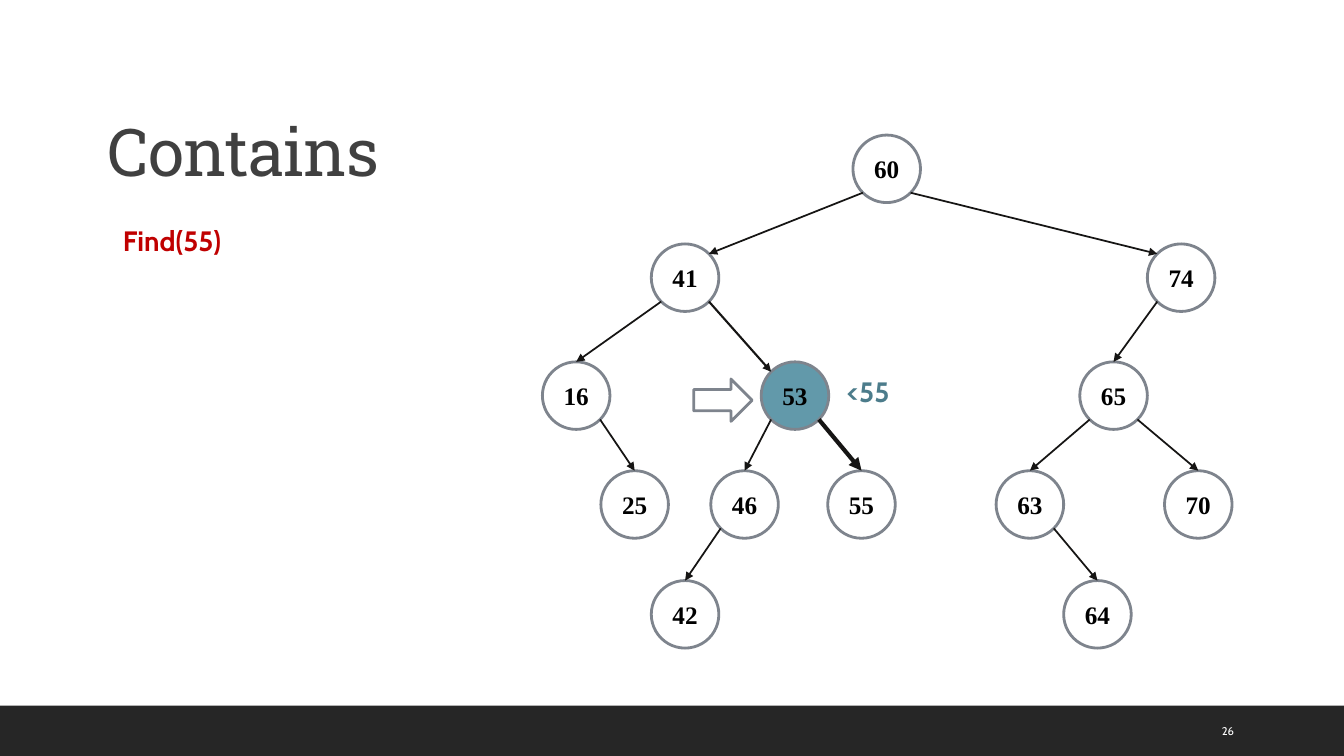
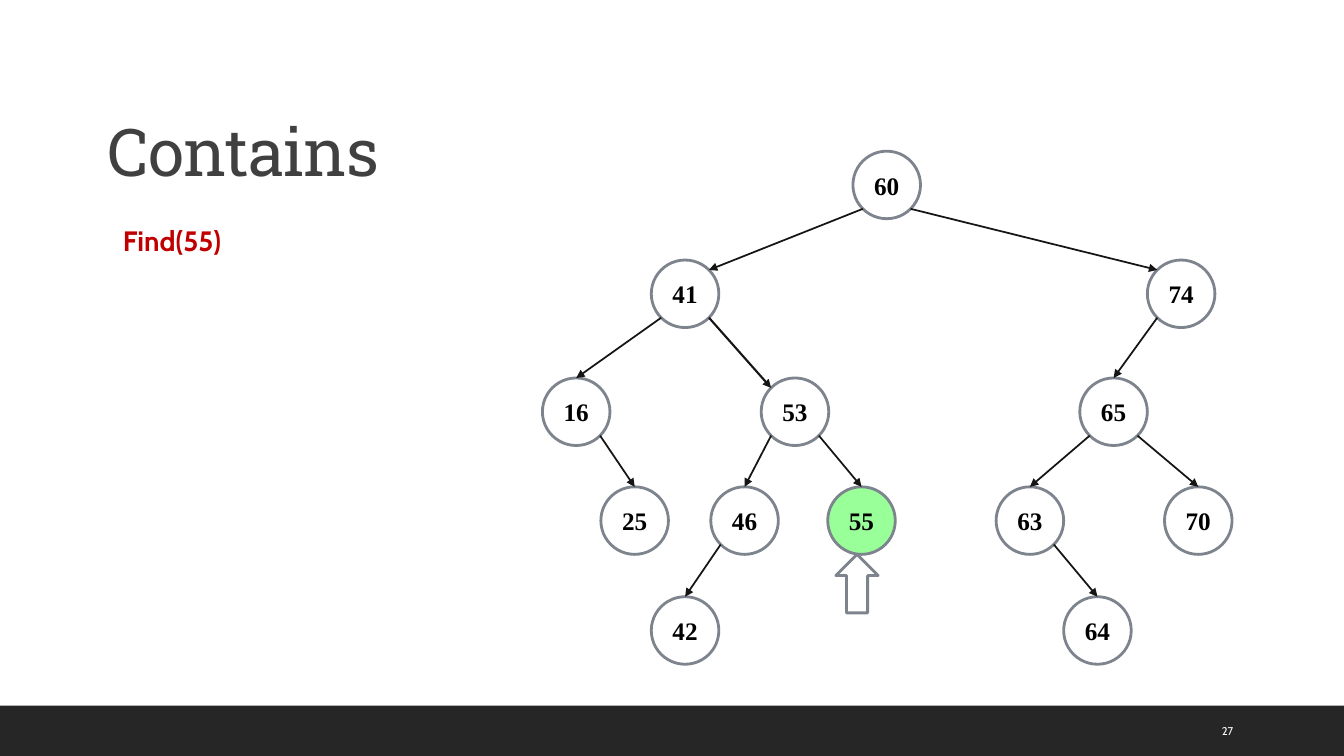
"""Build two slides that search a binary tree for one key."""
from dataclasses import dataclass

from lxml import etree
from pptx import Presentation, util as u
from pptx.dml.color import RGBColor
from pptx.enum import shapes, text
from pptx.oxml.ns import qn

SHAPE = shapes.MSO_SHAPE
ANCHOR = text.MSO_ANCHOR
FIT = text.MSO_AUTO_SIZE
ALIGN = text.PP_ALIGN


@dataclass(frozen=True)
class Theme:
    white: str = "FFFFFF"
    black: str = "000000"
    band: str = "262626"
    title: str = "404040"
    red: str = "C00000"
    teal: str = "4C7C8B"
    visit: str = "6299AA"
    found: str = "99FF99"
    ring: str = "7E848D"
    edge: str = "161514"
    head: str = "Roboto Slab"
    body: str = "Cabin"
    key: str = "Times New Roman"
    big: int = 47
    label: int = 20
    num: int = 18
    small: int = 8


SIZE = 0.67
DIAG = SIZE / 2 * 0.5 ** 0.5
ROWS = (0, 1.08, 2.25, 3.33, 4.42)
NODES = {
    60: (8.46, 0),
    41: (6.46, 1), 74: (11.38, 1),
    16: (5.38, 2), 53: (7.55, 2), 65: (10.71, 2),
    70: (11.55, 3), 63: (9.88, 3), 55: (8.21, 3), 46: (7.05, 3), 25: (5.96, 3),
    64: (10.55, 4), 42: (6.46, 4),
}
EDGES = ((60, 41), (60, 74), (41, 16), (41, 53), (74, 65), (53, 55),
         (53, 46), (16, 25), (46, 42), (65, 63), (65, 70), (63, 64))
CORNER = (41, 74, 53)
THIN, MID, BOLD = 1.25, 1.5, 3


class Deck:
    def __init__(self, theme):
        self.theme = theme
        self.prs = Presentation()
        self.prs.slide_width = u.Inches(13.33)
        self.prs.slide_height = u.Inches(7.5)
        self.slide = None

    def box(self, kind, at, fill, ring=None):
        item = self.slide.shapes.add_shape(kind, *map(u.Inches, at))
        item.shadow.inherit = False
        item.fill.solid()
        item.fill.fore_color.rgb = RGBColor.from_string(fill)
        if ring:
            item.line.color.rgb = RGBColor.from_string(ring)
            item.line.width = u.Pt(2)
        else:
            item.line.fill.background()
        return item

    def put(self, frame, words, face, size, color, bold=False):
        run = frame.paragraphs[0].add_run()
        run.text = words
        font = run.font
        font.name, font.size, font.bold = face, u.Pt(size), bold
        font.color.rgb = RGBColor.from_string(color)

    def band(self):
        item = self.box(SHAPE.RECTANGLE, (0, 7, 13.33, 0.5), self.theme.band)
        item.element.nvSpPr.cNvPr.set("id", "99")
        self.prs.slide_master.shapes.element.insert(2, item.element)

    def page(self, title, num):
        t = self.theme
        first = self.slide is None
        self.slide = self.prs.slides.add_slide(self.prs.slide_layouts[5])
        if first:
            self.band()
        head = self.slide.shapes.title
        head.left, head.top, head.width, head.height = map(
            u.Inches, (0.97, 0.35, 11, 1.59))
        frame = head.text_frame
        frame.auto_size = FIT.NONE
        frame.vertical_anchor = ANCHOR.BOTTOM
        para = frame.paragraphs[0]
        para.alignment = ALIGN.LEFT
        para.line_spacing = 0.9
        self.put(frame, title, t.head, t.big, t.title)
        head.element.find(".//" + qn("a:rPr")).set("spc", "-50")
        foot = self.label(str(num), (12.02, 7.05, 0.85, 0.4), t.white, t.small, False)
        foot.auto_size = FIT.NONE
        foot.vertical_anchor = ANCHOR.MIDDLE

    def label(self, words, at, color, size=None, bold=True):
        t = self.theme
        frame = self.slide.shapes.add_textbox(*map(u.Inches, at)).text_frame
        frame.word_wrap = True
        frame.auto_size = FIT.SHAPE_TO_FIT_TEXT
        self.put(frame, words, t.body, size or t.label, color, bold)
        return frame

    def node(self, key, at, fill):
        t = self.theme
        item = self.box(SHAPE.OVAL, (*at, SIZE, SIZE), fill, t.ring)
        frame = item.text_frame
        frame.word_wrap = False
        frame.margin_left = frame.margin_right = 0
        frame.vertical_anchor = ANCHOR.MIDDLE
        frame.paragraphs[0].alignment = ALIGN.CENTER
        self.put(frame, str(key), t.key, t.num, t.black, True)
        return item

    def edge(self, start, end, width, goal=None):
        line = self.slide.shapes.add_connector(
            shapes.MSO_CONNECTOR.STRAIGHT, *map(u.Inches, (*start, *end)))
        if goal is not None:
            line.end_connect(goal, 0)
        line.line.color.rgb = RGBColor.from_string(self.theme.edge)
        line.line.width = u.Pt(width)
        props = line.element.spPr
        etree.SubElement(props.find(qn("a:ln")), qn("a:tailEnd"), type="triangle")
        etree.SubElement(props, qn("a:effectLst"))

    def tree(self, top, fills, widths):
        spots = {key: (x, top + ROWS[row]) for key, (x, row) in NODES.items()}
        balls = {key: self.node(key, at, fills.get(key, self.theme.white))
                 for key, at in spots.items()}
        half = SIZE / 2
        for pair in EDGES:
            (px, py), (cx, cy) = (spots[key] for key in pair)
            side = DIAG if cx > px else -DIAG
            start = px + half + side, py + half + DIAG
            if pair[1] in CORNER:
                end = cx + half - side, cy + half - DIAG
                goal = None
            else:
                end = cx + half, cy
                goal = balls[pair[1]]
            self.edge(start, end, widths.get(pair, THIN), goal)

    def arrow(self, x, y, turn):
        item = self.box(SHAPE.LEFT_ARROW, (x, y, 0.58, 0.42),
                        self.theme.white, self.theme.ring)
        item.rotation = turn


def main():
    theme = Theme()
    deck = Deck(theme)
    steps = (
        (26, 1.34, {53: theme.visit}, {(53, 55): BOLD}, (6.88, 3.76, 180), "<55"),
        (27, 1.5, {55: theme.found}, {}, (8.21, 5.58, 90), None),
    )
    for num, top, fills, widths, arrow, note in steps:
        deck.page("Contains", num)
        deck.label("Find(55)", (1.12, 2.17, 1.33, 0.44), theme.red)
        deck.tree(top, fills, {(41, 53): MID, **widths})
        if note:
            deck.label(note, (8.3, 3.67, 0.83, 0.44), theme.teal)
        deck.arrow(*arrow)
    deck.prs.save("out.pptx")


if __name__ == "__main__":
    main()
